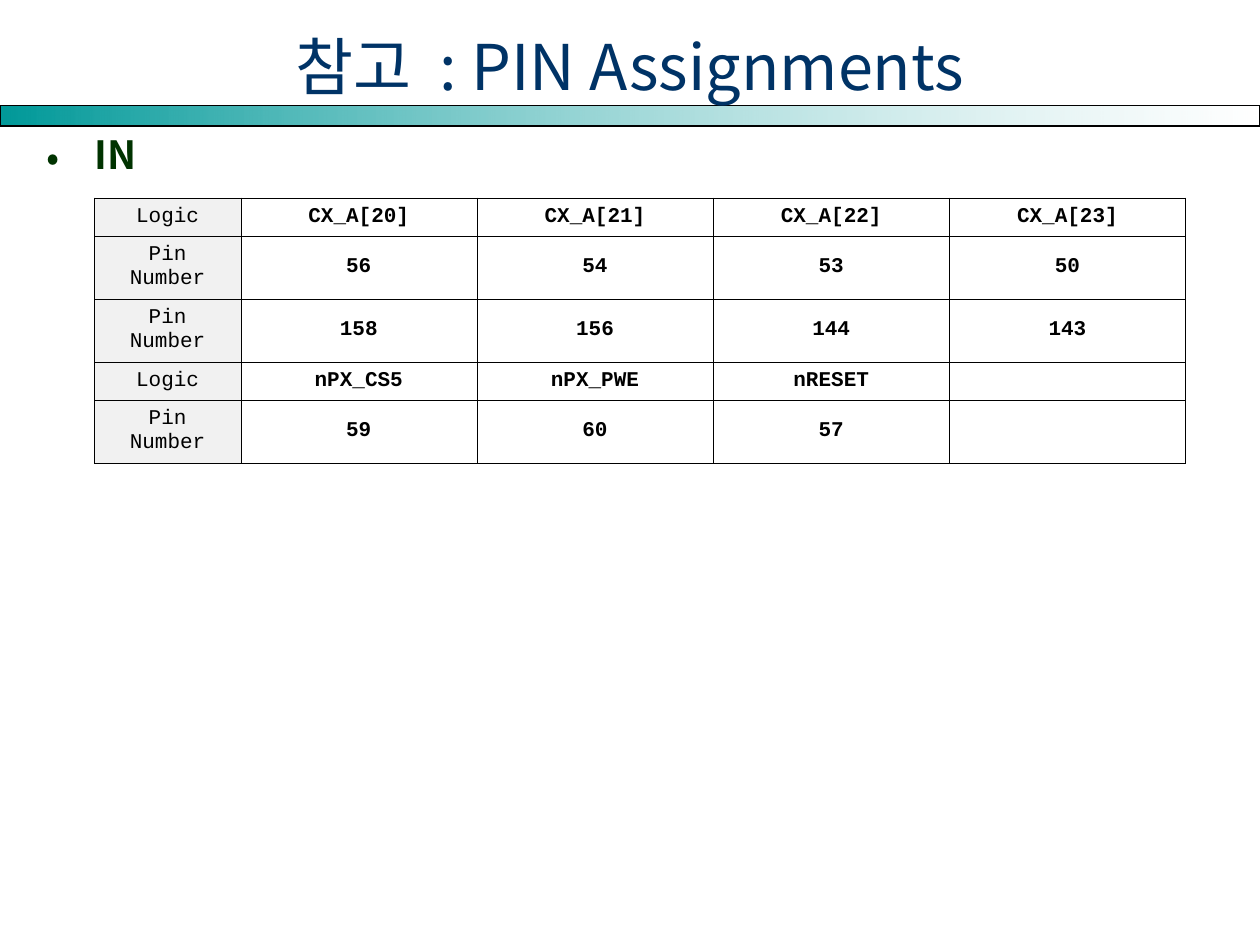
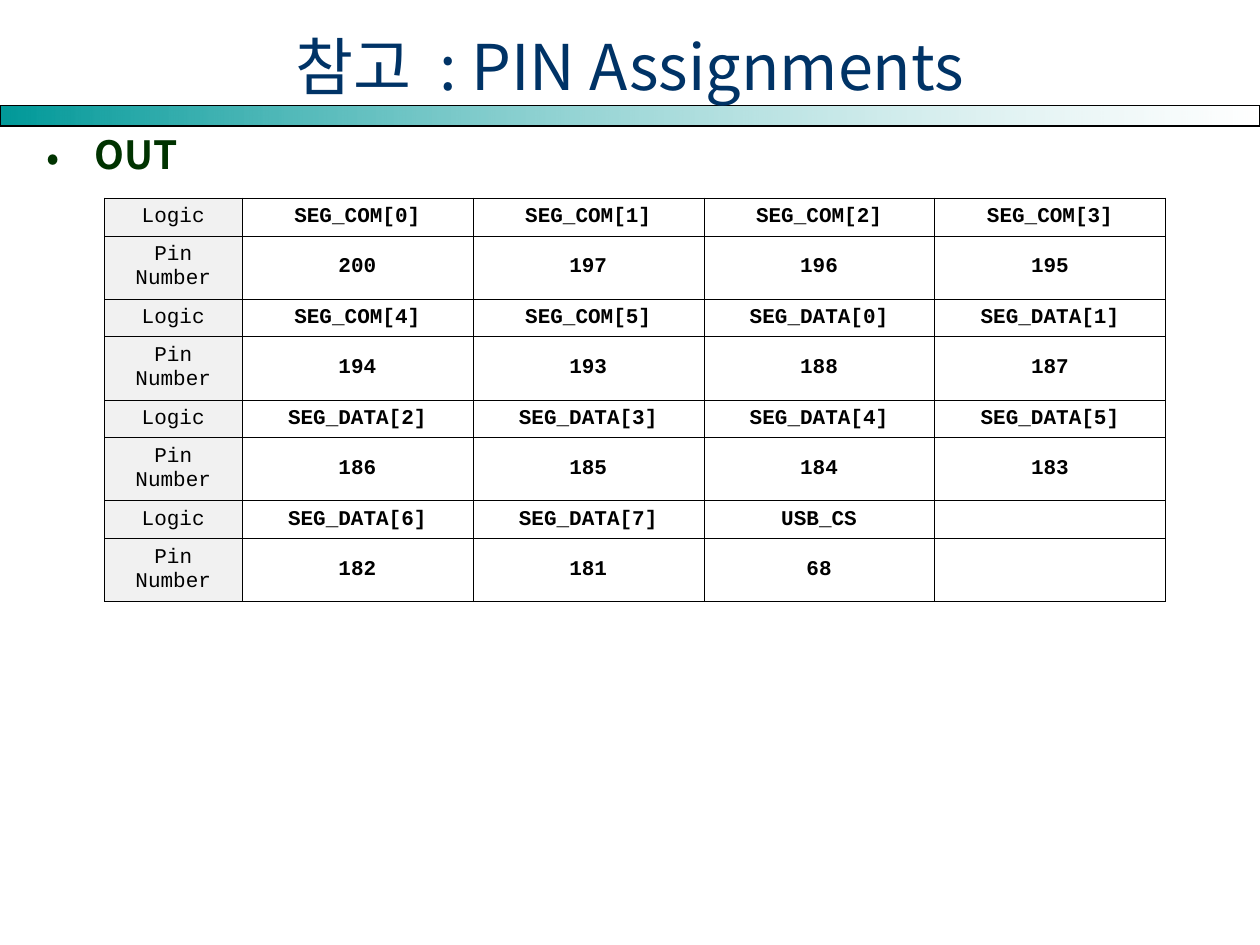
from lxml import etree
from pptx import Presentation
from pptx import util as u
from pptx.dml.color import RGBColor
from pptx.enum import shapes, text
from pptx.oxml.ns import qn

TITLE = ("참고", " ", ": PIN Assignments")
PAGES = [
    {
        "head": "IN", "left": 0.75, "width": 8.66, "label": 1.16,
        "rows": [
            ("Logic", "CX_A[20]", "CX_A[21]", "CX_A[22]", "CX_A[23]"),
            ("Pin Number", "56", "54", "53", "50"),
            ("Pin Number", "158", "156", "144", "143"),
            ("Logic", "nPX_CS5", "nPX_PWE", "nRESET", ""),
            ("Pin Number", "59", "60", "57", ""),
        ],
    },
    {
        "head": "OUT", "left": 0.83, "width": 8.42, "label": 1.09,
        "rows": [
            ("Logic", "SEG_COM[0]", "SEG_COM[1]", "SEG_COM[2]", "SEG_COM[3]"),
            ("Pin Number", "200", "197", "196", "195"),
            ("Logic", "SEG_COM[4]", "SEG_COM[5]", "SEG_DATA[0]", "SEG_DATA[1]"),
            ("Pin Number", "194", "193", "188", "187"),
            ("Logic", "SEG_DATA[2]", "SEG_DATA[3]", "SEG_DATA[4]", "SEG_DATA[5]"),
            ("Pin Number", "186", "185", "184", "183"),
            ("Logic", "SEG_DATA[6]", "SEG_DATA[7]", "USB_CS", ""),
            ("Pin Number", "182", "181", "68", ""),
        ],
    },
]
THEME = {
    "title": {"name": "Noto Sans CJK KR", "size": 36, "color": "003366", "bold": False},
    "head": {"name": "Noto Sans CJK KR", "size": 22.2, "color": "003300", "bold": True},
    "label": {"name": "Courier New", "size": 12, "color": "000000", "bold": False},
    "pin": {"name": "Courier New", "size": 12, "color": "000000", "bold": True},
    "line": "000000",
    "shade": "F1F1F1",
    "fade": ("85CDCD", "009999"),
}
HIGH = {"Logic": 0.3, "Pin Number": 0.5}
TOP = 1.57


def rgb(code):
    return RGBColor.from_string(code)


def add(root, tag, **vals):
    return etree.SubElement(root, qn(tag), vals)


def box(*nums):
    return [u.Inches(n) for n in nums]


def write(para, words, kind):
    run = para.add_run()
    run.text = words
    style = THEME[kind]
    vals = {**style, "size": u.Pt(style["size"])}
    tint = vals.pop("color")
    for key, val in vals.items():
        setattr(run.font, key, val)
    run.font.color.rgb = rgb(tint)
    face = run.font._element
    add(face, "a:ea", typeface=style["name"])
    return face


def draw_band(slide):
    band = slide.shapes.add_shape(shapes.MSO_SHAPE.RECTANGLE, *box(0, 0.84, 10, 0.16))
    band.shadow.inherit = False
    band.fill.gradient()
    band.fill.gradient_angle = 180
    for stop, code in zip(band.fill.gradient_stops, THEME["fade"]):
        stop.color.rgb = rgb(code)
    clear = next(band.element.iter(qn("a:srgbClr")))
    add(clear, "a:alpha", val="0")
    band.line.color.rgb = rgb(THEME["line"])
    band.line.width = u.Pt(0.75)
    slide.shapes.element.insert(2, band.element)


def draw_title(slide):
    title = slide.shapes.title
    spots = zip(("left", "top", "width", "height"), box(0.12, 0.21, 9.76, 0.61))
    for key, val in spots:
        setattr(title, key, val)
    frame = title.text_frame
    frame.auto_size = text.MSO_AUTO_SIZE.NONE
    frame.vertical_anchor = text.MSO_ANCHOR.MIDDLE
    para = frame.paragraphs[0]
    para.alignment = text.PP_ALIGN.CENTER
    for part in TITLE:
        face = write(para, part, "title")
        if part == " ":
            face.set("spc", "800")


def draw_head(slide, words):
    frame = slide.shapes.add_textbox(*box(0.27, 0.99, 9.53, 0.5)).text_frame
    frame.word_wrap = True
    para = frame.paragraphs[0]
    para.space_before = u.Pt(6)
    write(para, words, "head")
    props = para._p.get_or_add_pPr()
    dent = u.Inches(0.38)
    props.set("marL", str(dent))
    props.set("indent", str(-dent))
    tint = add(props, "a:buClr")
    add(tint, "a:srgbClr", val=THEME["head"]["color"])
    add(props, "a:buFont", typeface=THEME["head"]["name"])
    add(props, "a:buChar", char="•")


def edge(cell):
    props = cell._tc.get_or_add_tcPr()
    for spot, side in enumerate("LRTB"):
        line = add(props, "a:ln" + side, w=str(u.Pt(0.06)))
        add(add(line, "a:solidFill"), "a:srgbClr", val=THEME["line"])
        props.insert(spot, line)


def fill_cell(cell, words, label):
    kind = "label" if label else "pin"
    cell.vertical_anchor = text.MSO_ANCHOR.MIDDLE
    for side in ("left", "right"):
        setattr(cell, "margin_" + side, u.Inches(0.1))
    if label:
        cell.fill.solid()
        cell.fill.fore_color.rgb = rgb(THEME["shade"])
    else:
        cell.fill.background()
    para = cell.text_frame.paragraphs[0]
    para.alignment = text.PP_ALIGN.CENTER
    if words:
        write(para, words, kind)
    else:
        add(para._p, "a:endParaRPr", sz=str(THEME[kind]["size"] * 100))
    edge(cell)


def draw_table(slide, page):
    rows = page["rows"]
    highs = [HIGH[row[0]] for row in rows]
    count = len(rows[0])
    area = box(page["left"], TOP, page["width"], sum(highs))
    table = slide.shapes.add_table(len(rows), count, *area).table
    table.first_row = table.horz_banding = False
    pin = (page["width"] - page["label"]) / (count - 1)
    for i, col in enumerate(table.columns):
        col.width = u.Inches(pin if i else page["label"])
    for r, row in enumerate(rows):
        table.rows[r].height = u.Inches(highs[r])
        for c, words in enumerate(row):
            fill_cell(table.cell(r, c), words, c == 0)


def main():
    deck = Presentation()
    deck.slide_width, deck.slide_height = box(10, 7.5)
    for page in PAGES:
        slide = deck.slides.add_slide(deck.slide_layouts[5])
        draw_band(slide)
        draw_title(slide)
        draw_head(slide, page["head"])
        draw_table(slide, page)
    deck.save("out.pptx")


if __name__ == "__main__":
    main()
